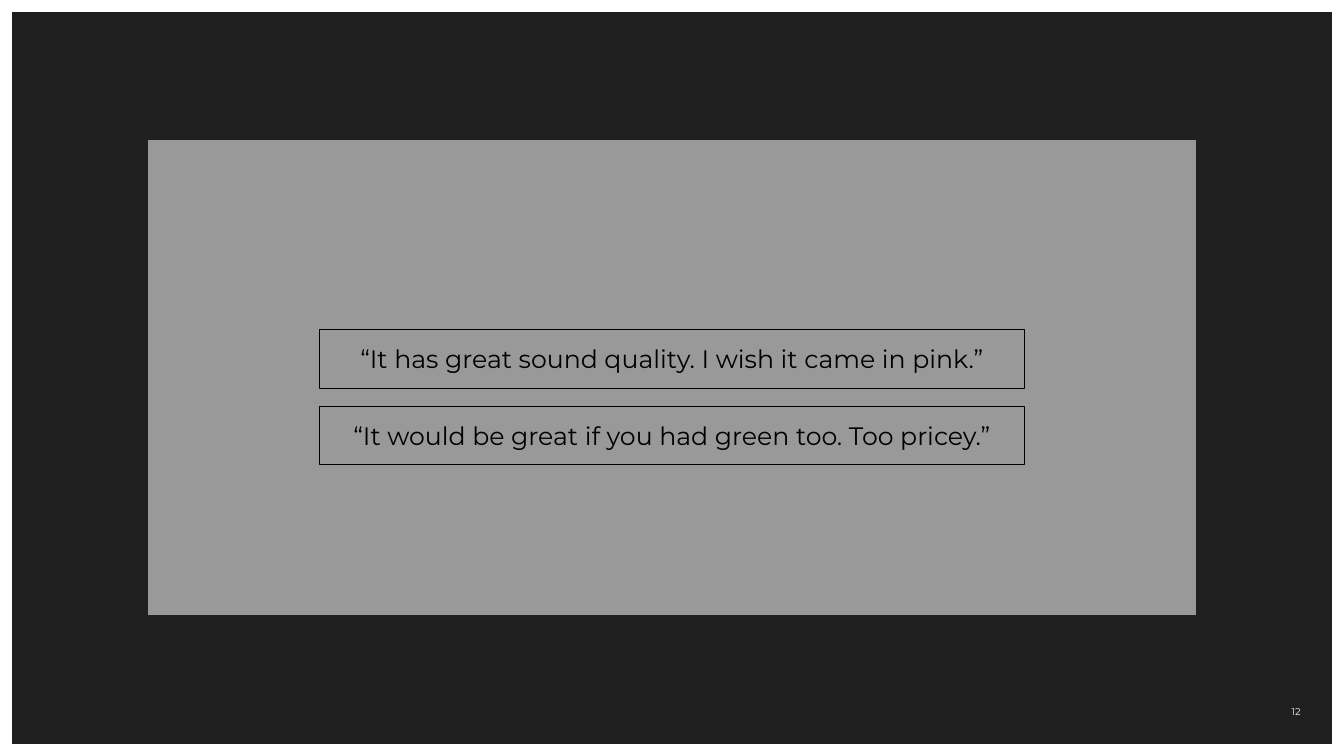
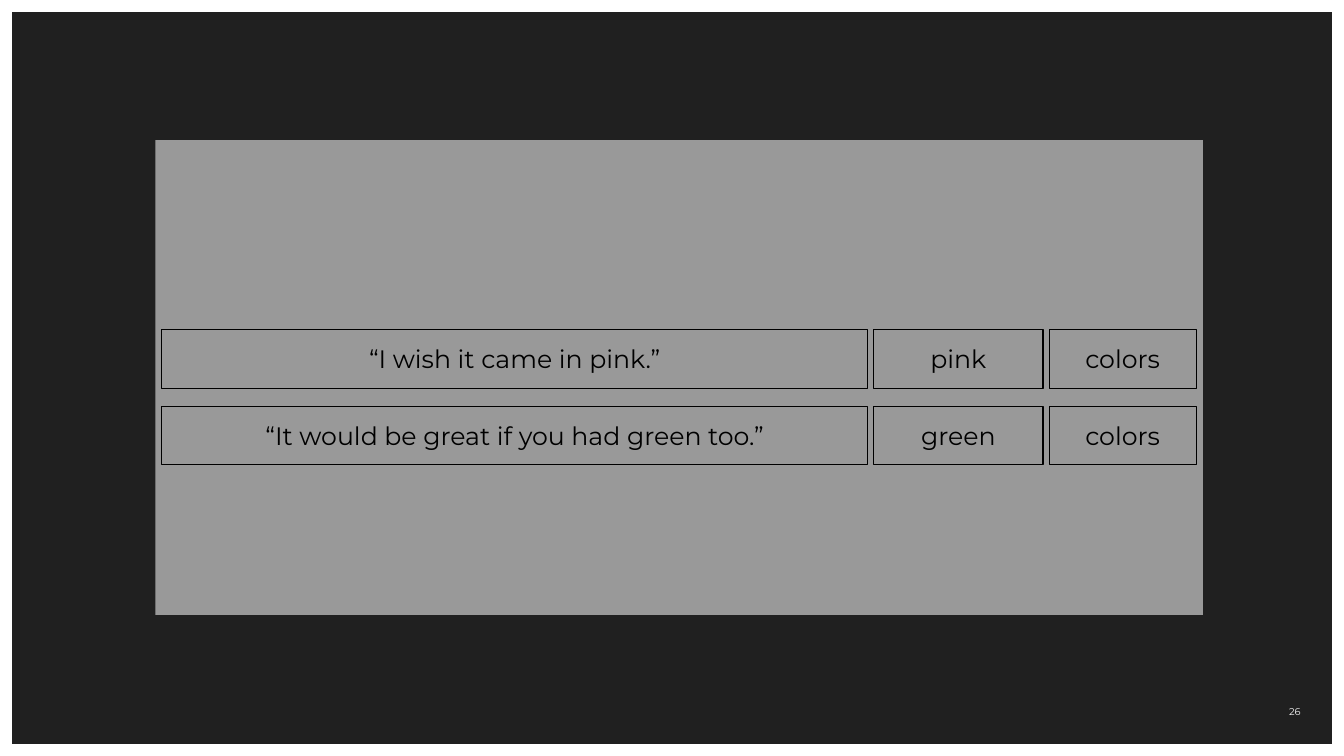
from dataclasses import dataclass

from pptx import Presentation
from pptx.dml.color import RGBColor
from pptx.enum.shapes import MSO_SHAPE
from pptx.enum.text import MSO_ANCHOR, PP_ALIGN
from pptx.util import Inches, Pt

SLIDE_WIDTH, SLIDE_HEIGHT = 13.33, 7.5
FRAME_MARGIN = 0.12
PANEL_TOP, PANEL_WIDTH, PANEL_HEIGHT = 1.39, 10.39, 4.71
ROW_TOP, ROW_HEIGHT, ROW_PITCH = 3.27, 0.58, 0.76
COLUMN_GAP = 0.06

FONT = "Montserrat"
BACKDROP = RGBColor(0x20, 0x20, 0x20)
PANEL = RGBColor(0x99, 0x99, 0x99)
INK = RGBColor(0x00, 0x00, 0x00)
PAGE_NUMBER = RGBColor(0xF8, 0xF8, 0xF8)


@dataclass(frozen=True)
class FeedbackSlide:
    number: int
    panel_left: float
    column_widths: tuple[float, ...]
    rows: tuple[tuple[str, ...], ...]


FEEDBACK_SLIDES = (
    FeedbackSlide(12, 1.47, (7,), (
        ("“It has great sound quality. I wish it came in pink.”",),
        ("“It would be great if you had green too. Too pricey.”",),
    )),
    FeedbackSlide(26, 1.54, (7, 1.68, 1.46), (
        ("“I wish it came in pink.”", "pink", "colors"),
        ("“It would be great if you had green too.”", "green", "colors"),
    )),
)


def add_rectangle(slide, left: float, top: float, width: float, height: float,
                  *, fill: RGBColor | None = None, line: RGBColor | None = None):
    shape = slide.shapes.add_shape(
        MSO_SHAPE.RECTANGLE, Inches(left), Inches(top), Inches(width), Inches(height))
    shape.shadow.inherit = False
    if fill is None:
        shape.fill.background()
    else:
        shape.fill.solid()
        shape.fill.fore_color.rgb = fill
    if line is None:
        shape.line.fill.background()
    else:
        shape.line.color.rgb = line
        shape.line.width = Pt(0.75)
    return shape


def write_text(shape, text: str, *, size: float, color: RGBColor,
               align: PP_ALIGN = PP_ALIGN.CENTER) -> None:
    frame = shape.text_frame
    frame.word_wrap = True
    frame.vertical_anchor = MSO_ANCHOR.MIDDLE
    frame.margin_left = frame.margin_right = frame.margin_top = frame.margin_bottom = 0
    paragraph = frame.paragraphs[0]
    paragraph.alignment = align
    run = paragraph.add_run()
    run.text = text
    run.font.name = FONT
    run.font.size = Pt(size)
    run.font.color.rgb = color


def move_to_layout(shape, layout) -> None:
    """Put a shape behind everything on each slide that uses the layout."""
    layout.shapes.element.insert(2, shape.element)


def add_page_number(slide, number: int) -> None:
    box = slide.shapes.add_textbox(Inches(12.61), Inches(6.98), Inches(0.29), Inches(0.15))
    write_text(box, str(number), size=7, color=PAGE_NUMBER, align=PP_ALIGN.RIGHT)


def add_feedback(slide, feedback: FeedbackSlide) -> None:
    """Draw the panel with its rows of boxes centred across it."""
    add_rectangle(slide, feedback.panel_left, PANEL_TOP, PANEL_WIDTH, PANEL_HEIGHT, fill=PANEL)
    widths = feedback.column_widths
    row_width = sum(widths) + COLUMN_GAP * (len(widths) - 1)
    row_left = feedback.panel_left + (PANEL_WIDTH - row_width) / 2
    for row, texts in enumerate(feedback.rows):
        left = row_left
        for text, width in zip(texts, widths):
            box = add_rectangle(slide, left, ROW_TOP + row * ROW_PITCH, width, ROW_HEIGHT, line=INK)
            write_text(box, text, size=18, color=INK)
            left += width + COLUMN_GAP


def main() -> None:
    presentation = Presentation()
    presentation.slide_width = Inches(SLIDE_WIDTH)
    presentation.slide_height = Inches(SLIDE_HEIGHT)
    layout = presentation.slide_layouts[6]
    slides = [presentation.slides.add_slide(layout) for _ in FEEDBACK_SLIDES]
    backdrop = add_rectangle(
        slides[0], FRAME_MARGIN, FRAME_MARGIN,
        SLIDE_WIDTH - 2 * FRAME_MARGIN, SLIDE_HEIGHT - 2 * FRAME_MARGIN, fill=BACKDROP)
    move_to_layout(backdrop, layout)
    for slide, feedback in zip(slides, FEEDBACK_SLIDES):
        add_feedback(slide, feedback)
        add_page_number(slide, feedback.number)
    presentation.save("out.pptx")


if __name__ == "__main__":
    main()
